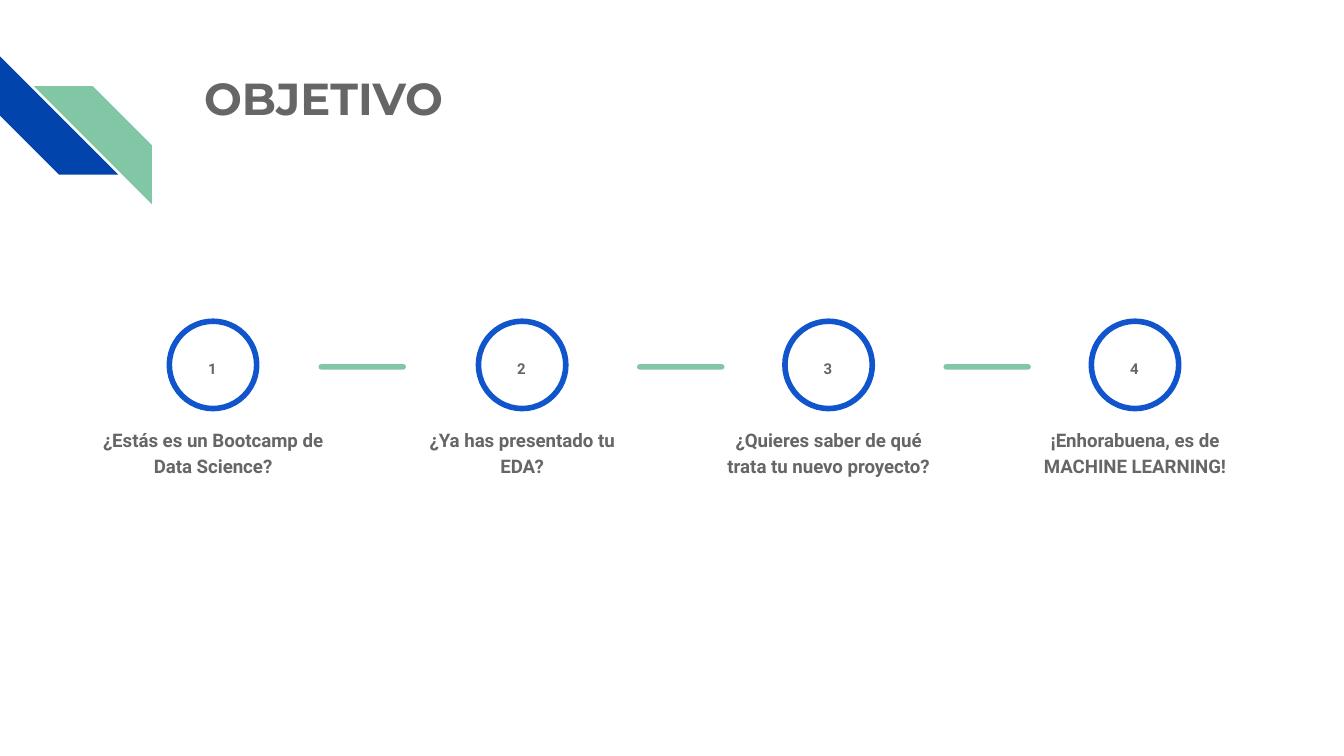
"""Build the OBJETIVO slide: four numbered steps joined by short bars."""
from pptx import Presentation
from pptx.dml.color import RGBColor
from pptx.enum.shapes import MSO_SHAPE as Kind
from pptx.enum.text import MSO_ANCHOR as Anchor, PP_ALIGN as Align
from pptx.util import Inches, Pt

TITLE = "OBJETIVO"
STEPS = [
    (0.65, ["¿Estás es un Bootcamp de Data Science?"]),
    (2.95, ["¿Ya has presentado tu EDA?"]),
    (5.23, ["¿Quieres saber de qué trata tu nuevo proyecto?"]),
    (7.51, ["¡Enhorabuena, es de", "MACHINE LEARNING!"]),
]
BARS = [2.37, 4.74, 7.02]

NAVY = RGBColor(0x01, 0x45, 0xAC)
BLUE = RGBColor(0x11, 0x55, 0xCC)
GREEN = RGBColor(0x82, 0xC7, 0xA5)
GREY = RGBColor(0x66, 0x66, 0x66)
STRIPES = [(0, 0.42, 270, NAVY), (0.25, 0.64, 90, GREEN)]

WIDE = 10
HIGH = WIDE * 9 / 16
STRIPE, RING, BAR = 0.88, 0.65, 0.04
PAD = Inches(0.1)


def shape(slide, kind, left, top, wide, high, fill=None):
    item = slide.shapes.add_shape(
        kind, *(Inches(n) for n in (left, top, wide, high)))
    item.shadow.inherit = False
    item.line.fill.background()
    if fill is None:
        item.fill.background()
    else:
        item.fill.solid()
        item.fill.fore_color.rgb = fill
    return item


def label(slide, lines, left, top, wide, high, size, face="Roboto",
          align=Align.CENTER, anchor=Anchor.TOP, space=1.15, after=0):
    box = slide.shapes.add_textbox(
        *(Inches(n) for n in (left, top, wide, high)))
    frame = box.text_frame
    frame.word_wrap = True
    frame.vertical_anchor = anchor
    frame.margin_left = frame.margin_right = PAD
    frame.margin_top = frame.margin_bottom = PAD
    frame.text = "\n".join(lines)
    for para in frame.paragraphs:
        para.alignment = align
        para.line_spacing = space
        para.space_after = Pt(after)
        font = para.font
        font.name, font.size, font.bold = face, Pt(size), True
        font.color.rgb = GREY


def main():
    deck = Presentation()
    deck.slide_width, deck.slide_height = Inches(WIDE), Inches(HIGH)
    slide = deck.slides.add_slide(deck.slide_layouts[6])

    for left, top, turn, color in STRIPES:
        band = shape(slide, Kind.DIAGONAL_STRIPE, left, top,
                     STRIPE, STRIPE, color)
        band.rotation = turn

    label(slide, [TITLE], 1.42, 0.43, 7.7, 1, 24, "Montserrat",
          Align.LEFT, space=1.0)

    for left in BARS:
        bar = shape(slide, Kind.ROUNDED_RECTANGLE, left, 2.71,
                    RING, BAR, GREEN)
        bar.adjustments[0] = 0.5

    for num, (left, lines) in enumerate(STEPS, 1):
        ring = shape(slide, Kind.OVAL, left + 0.61, 2.39, RING, RING)
        ring.line.color.rgb = BLUE
        ring.line.width = Pt(3)
        label(slide, [str(num)], left + 0.69, 2.58, 0.48, 0.35, 8, after=16)
        label(slide, lines, left, 3.16, 1.87, 0.49, 10,
              anchor=Anchor.BOTTOM)

    deck.save("out.pptx")


if __name__ == "__main__":
    main()
